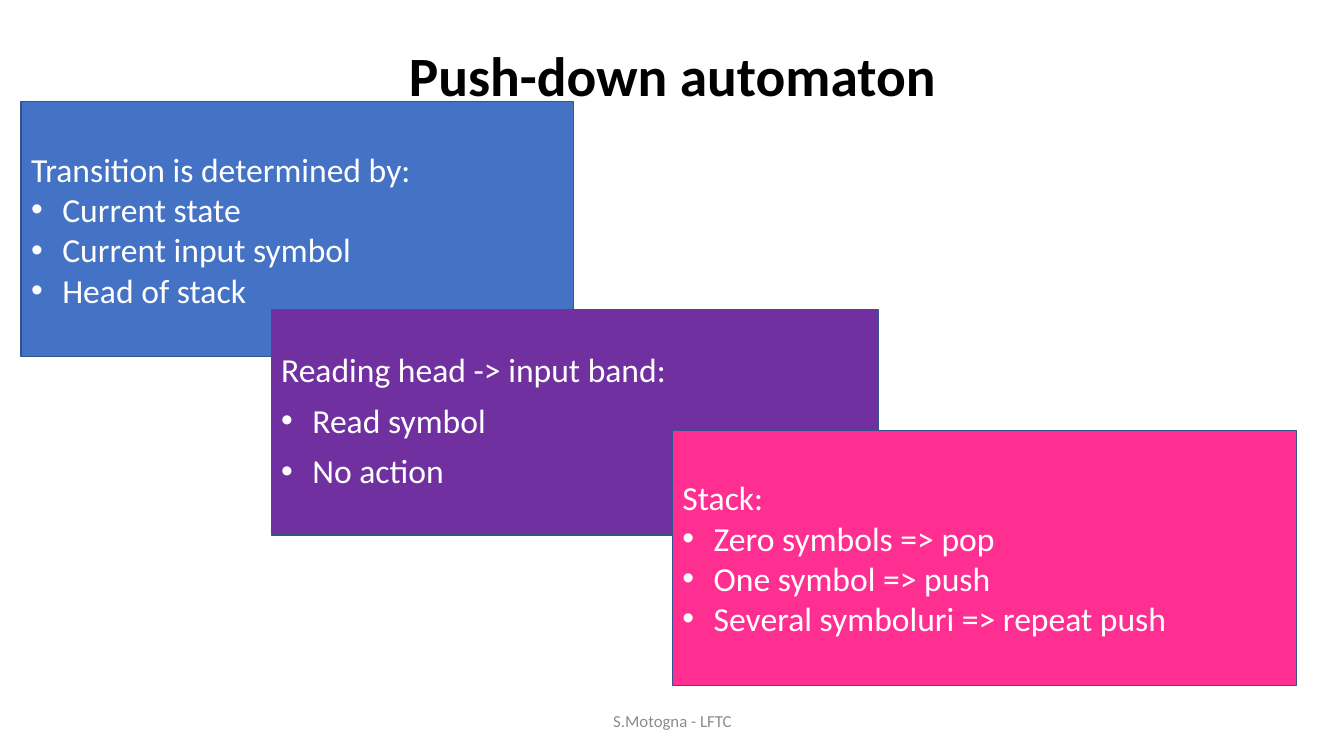
from lxml.etree import SubElement
from pptx import Presentation
from pptx.dml.color import RGBColor
from pptx.enum.shapes import MSO_SHAPE
from pptx.enum.text import MSO_ANCHOR, PP_ALIGN
from pptx.oxml.ns import qn
from pptx.util import Inches, Pt

COLORS = {
    "title": "000000", "footer": "8C8C8C", "card_text": "FFFFFF",
    "border": "325491", "transition": "4472C4", "reading": "7030A0",
    "stack": "FF2F92",
}
FONT = "Calibri"
BULLET_INDENT = Inches(0.31)

# Box in inches, fill, heading, bullet items, paragraph spacing
CARDS = [
    ((0.21, 1.01, 5.48, 2.53), "transition", "Transition is determined by:",
     ["Current state", "Current input symbol", "Head of stack"], {}),
    ((2.69, 3.07, 6.02, 2.24), "reading", "Reading head -> input band:",
     ["Read symbol", "No action"],
     {"line_spacing": 0.9, "space_before": Pt(10)}),
    ((6.67, 4.27, 6.19, 2.53), "stack", "Stack:",
     ["Zero symbols => pop", "One symbol => push",
      "Several symboluri => repeat push"], {}),
]


def color(name):
    return RGBColor.from_string(COLORS[name])


def add_run(paragraph, text, size, color_name, bold=False):
    run = paragraph.add_run()
    run.text = text
    run.font.name = FONT
    run.font.size = Pt(size)
    run.font.bold = bold
    run.font.color.rgb = color(color_name)


def add_bullet(paragraph):
    properties = paragraph._p.get_or_add_pPr()
    properties.set("marL", str(BULLET_INDENT))
    properties.set("indent", str(-BULLET_INDENT))
    SubElement(properties, qn("a:buFont"), typeface="Arial")
    SubElement(properties, qn("a:buChar"), char="•")


def add_centered_line(slide, box, text, size, color_name, bold=False,
                      line_spacing=1.0):
    frame = slide.shapes.add_textbox(*map(Inches, box)).text_frame
    frame.word_wrap = True
    frame.vertical_anchor = MSO_ANCHOR.MIDDLE
    line = frame.paragraphs[0]
    line.alignment = PP_ALIGN.CENTER
    line.line_spacing = line_spacing
    add_run(line, text, size, color_name, bold)


def add_card(slide, box, fill, heading, items, spacing):
    card = slide.shapes.add_shape(MSO_SHAPE.RECTANGLE, *map(Inches, box))
    card.shadow.inherit = False
    card.fill.solid()
    card.fill.fore_color.rgb = color(fill)
    card.line.color.rgb = color("border")
    card.line.width = Pt(1)
    frame = card.text_frame
    frame.word_wrap = True
    frame.vertical_anchor = MSO_ANCHOR.MIDDLE
    for index, text in enumerate([heading, *items]):
        paragraph = frame.add_paragraph() if index else frame.paragraphs[0]
        paragraph.alignment = PP_ALIGN.LEFT
        for name, value in spacing.items():
            setattr(paragraph, name, value)
        if index:
            add_bullet(paragraph)
        add_run(paragraph, text, 24, "card_text")


def main():
    deck = Presentation()
    deck.slide_width, deck.slide_height = Inches(13.33), Inches(7.5)
    slide = deck.slides.add_slide(deck.slide_layouts[6])
    add_centered_line(slide, (4.42, 6.95, 4.5, 0.4), "S.Motogna - LFTC",
                      12, "footer")
    for card in CARDS:
        add_card(slide, *card)
    add_centered_line(slide, (0.92, 0.4, 11.5, 0.76), "Push-down automaton",
                      39.6, "title", bold=True, line_spacing=0.9)
    deck.save("out.pptx")


if __name__ == "__main__":
    main()
